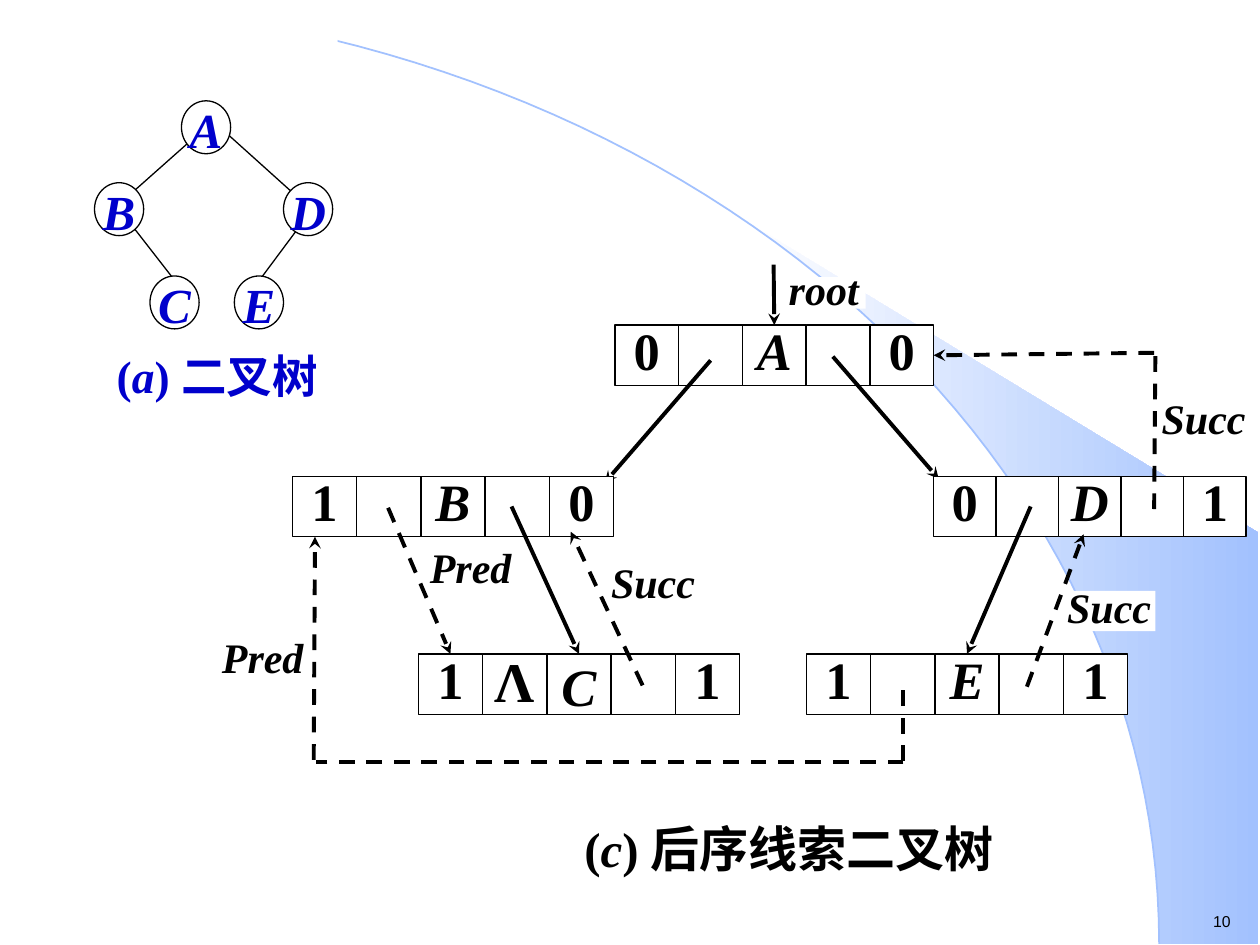
from math import asin, cos, pi, sin

from lxml.etree import SubElement
from pptx import Presentation
from pptx.dml.color import RGBColor
from pptx.enum.dml import MSO_LINE
from pptx.enum.shapes import MSO_CONNECTOR, MSO_SHAPE
from pptx.enum.text import MSO_ANCHOR, PP_ALIGN
from pptx.oxml.ns import qn
from pptx.util import Inches, Pt

COLORS = {"white": "FFFFFF", "black": "000000", "blue": "0000CC", "sky": "A2C1FE"}
SLIDE_W, SLIDE_H = Inches(10), Inches(7.5)
COL, ROW = SLIDE_W / 10, SLIDE_H / 7.5
SERIF = "Times New Roman"
CELL_H = 0.48
NODE_W, NODE_H = 0.39, 0.42
ARC_W, ARC_H = 9.2, 7.49
TOP, BOTTOM, RIGHT = 0, 2, 3

# Five cells per record: left tag, left link, data, right link, right tag
RECORDS = {
    "A": (4.88, 2.58, 0.506, ["0", "", "A", "", "0"]),
    "D": (7.41, 3.78, 0.496, ["0", "", "D", "", "1"]),
    "B": (2.32, 3.78, 0.51, ["1", "", "B", "", "0"]),
    "E": (6.4, 5.19, 0.51, ["1", "", "E", "", "1"]),
    "C": (3.32, 5.19, 0.51, ["1", "Λ", "C", "", "1"]),
}
TREE_NODES = {"A": (1.44, 0.8), "B": (0.75, 1.45), "D": (2.25, 1.45),
              "C": (1.19, 2.19), "E": (1.86, 2.19)}
TREE_EDGES = [((1.69, 0.96), (0.98, 1.59)), ((1.69, 0.96), (2.39, 1.59)),
              ((1.04, 1.78), (1.39, 2.23)), ((2.39, 1.78), (2.04, 2.25))]


def cols(n):
    return round(n * COL)


def rows(n):
    return round(n * ROW)


def color(name):
    return RGBColor.from_string(COLORS[name])


def add_runs(p, runs, size, ink="black", bold=True, font=SERIF):
    for text, italic in runs:
        r = p.add_run()
        r.text = text
        r.font.name, r.font.size = font, Pt(size)
        r.font.bold, r.font.italic = bold, italic
        r.font.color.rgb = color(ink)


def add_box(s, kind, box, runs=(), size=30, spacing=0.9, ink="black",
            outlined=True, align=PP_ALIGN.CENTER):
    x, y, w, h = box
    sp = s.shapes.add_shape(kind, cols(x), rows(y), cols(w), rows(h))
    sp.shadow.inherit = False
    sp.fill.solid()
    sp.fill.fore_color.rgb = color("white")
    if outlined:
        sp.line.color.rgb = color("black")
        sp.line.width = Pt(0.75)
    else:
        sp.line.fill.background()
    if runs:
        tf = sp.text_frame
        tf.margin_left = tf.margin_right = tf.margin_top = tf.margin_bottom = 0
        tf.vertical_anchor = MSO_ANCHOR.TOP
        tf.word_wrap = True
        p = tf.paragraphs[0]
        p.alignment, p.line_spacing = align, spacing
        pPr = p._p.get_or_add_pPr()
        pPr.set("marL", str(cols(0.38)))
        pPr.set("indent", str(-cols(0.38)))
        add_runs(p, runs, size, ink)
    return sp


def add_label(s, box, runs, size=24, spacing=0.8, ink="black",
              align=PP_ALIGN.CENTER):
    add_box(s, MSO_SHAPE.RECTANGLE, box, runs, size, spacing, ink, False, align)


def add_pred(s, x, y):
    add_label(s, (x, y, 0.71, 0.24), [("Pred", True)], spacing=0.7)


def add_succ(s, x, y):
    add_label(s, (x, y, 0.7, 0.32), [("Succ", True)], align=PP_ALIGN.JUSTIFY)


def add_record(s, name):
    x, y, w, texts = RECORDS[name]
    return [add_box(s, MSO_SHAPE.RECTANGLE, (x + i * w, y, w, CELL_H),
                    [(text, text.isalpha() and text != "Λ")] if text else (),
                    size=32 if text == "Λ" else 30,
                    spacing=1.0 if text == "C" else 0.9)
            for i, text in enumerate(texts)]


def add_line(s, start, end, width=2.25, dashed=False, arrow=True, join=None):
    """Draw a line; join is the (shape, site) that its end is glued to."""
    c = s.shapes.add_connector(MSO_CONNECTOR.STRAIGHT, cols(start[0]), rows(start[1]),
                               cols(end[0]), rows(end[1]))
    c.line.color.rgb = color("black")
    c.line.width = Pt(width)
    if dashed:
        c.line.dash_style = MSO_LINE.DASH
    if arrow:
        SubElement(c.line._get_or_add_ln(), qn("a:tailEnd"), type="stealth")
    SubElement(c._element.spPr, qn("a:effectLst"))
    if join:
        c.end_connect(*join)


def arc_points(start, steps=60):
    """Points of the quarter ellipse from angle start to its right end."""
    angles = [start + (pi / 2 - start) * i / steps for i in range(steps + 1)]
    return [(cols(ARC_W * sin(a)), rows(ARC_H * (1 - cos(a)))) for a in angles]


def add_outline(s, points, close):
    fb = s.shapes.build_freeform(*points[0])
    fb.add_line_segments(points[1:], close=close)
    sp = fb.convert_to_shape()
    sp.shadow.inherit = False
    return sp


def add_backdrop(s):
    edge = arc_points(asin(5.89 / ARC_W))
    corners = [(cols(9.99), rows(7.49)), (cols(9.99), rows(4.23))]
    wedge = add_outline(s, edge + corners, True)
    wedge.fill.gradient()
    wedge.fill.gradient_angle = 0
    for stop, name in zip(wedge.fill.gradient_stops, ("white", "sky")):
        stop.color.rgb = color(name)
    wedge.line.fill.background()

    arc = add_outline(s, arc_points(0), False)
    arc.fill.background()
    arc.line.color.rgb = color("sky")
    arc.line.width = Pt(1)

    number = s.shapes.add_textbox(cols(9.53), rows(7.19), cols(0.35), rows(0.25))
    number.text_frame.word_wrap = False
    add_runs(number.text_frame.paragraphs[0], [("10", False)], 9, bold=False,
             font="Arial")
    add_box(s, MSO_SHAPE.RECTANGLE, (0, 0, 2.68, 3.3), outlined=False)


def add_threaded_tree(s):
    add_pred(s, 3.38, 4.41)
    add_succ(s, 9.22, 3.19)
    add_label(s, (6.26, 2.2, 0.61, 0.25), [("root", True)], spacing=0.7,
              align=PP_ALIGN.LEFT)
    add_label(s, (3.55, 6.55, 5.42, 0.4),
              [("(", False), ("c", True), (") 后序线索二叉树", False)], 28, 0.9)

    cells = {"A": add_record(s, "A")}
    add_line(s, (5.64, 2.86), (4.8, 3.83))
    add_line(s, (6.61, 2.83), (7.45, 3.8))
    add_line(s, (6.14, 2.1), (6.14, 2.58), join=(cells["A"][2], TOP))
    for name in "DBEC":
        cells[name] = add_record(s, name)

    add_line(s, (4.06, 4.02), (4.59, 5.19), join=(cells["C"][2], TOP))
    add_line(s, (8.18, 4.02), (7.72, 5.19), join=(cells["E"][2], TOP))
    add_line(s, (5.1, 5.44), (4.53, 4.22), dashed=True)
    add_line(s, (3.08, 4.03), (3.57, 5.19), dashed=True, join=(cells["C"][0], TOP))
    add_line(s, (8.15, 5.45), (8.6, 4.24), dashed=True)
    add_line(s, (9.16, 2.8), (7.41, 2.8), dashed=True, join=(cells["A"][4], RIGHT))
    add_line(s, (9.16, 4.04), (9.17, 2.8), dashed=True, arrow=False)
    add_line(s, (2.49, 6.03), (2.5, 4.26), dashed=True)
    add_line(s, (7.17, 6.05), (2.51, 6.05), dashed=True, arrow=False)
    add_line(s, (7.17, 6.04), (7.17, 5.43), dashed=True, arrow=False)

    add_succ(s, 4.85, 4.49)
    add_succ(s, 8.47, 4.69)
    add_pred(s, 1.73, 5.12)


def add_plain_tree(s):
    for start, end in TREE_EDGES:
        add_line(s, start, end, width=0.75, arrow=False)
    for name, (x, y) in TREE_NODES.items():
        add_box(s, MSO_SHAPE.OVAL, (x, y, NODE_W, NODE_H), [(name, True)], 28, 0.85,
                "blue")
    add_label(s, (0.8, 2.85, 1.85, 0.34),
              [("(", False), ("a", True), (") 二叉树", False)], 26, ink="blue")


def main():
    prs = Presentation()
    prs.slide_width, prs.slide_height = SLIDE_W, SLIDE_H
    s = prs.slides.add_slide(prs.slide_layouts[6])
    add_backdrop(s)
    add_threaded_tree(s)
    add_plain_tree(s)
    prs.save("out.pptx")


if __name__ == "__main__":
    main()
